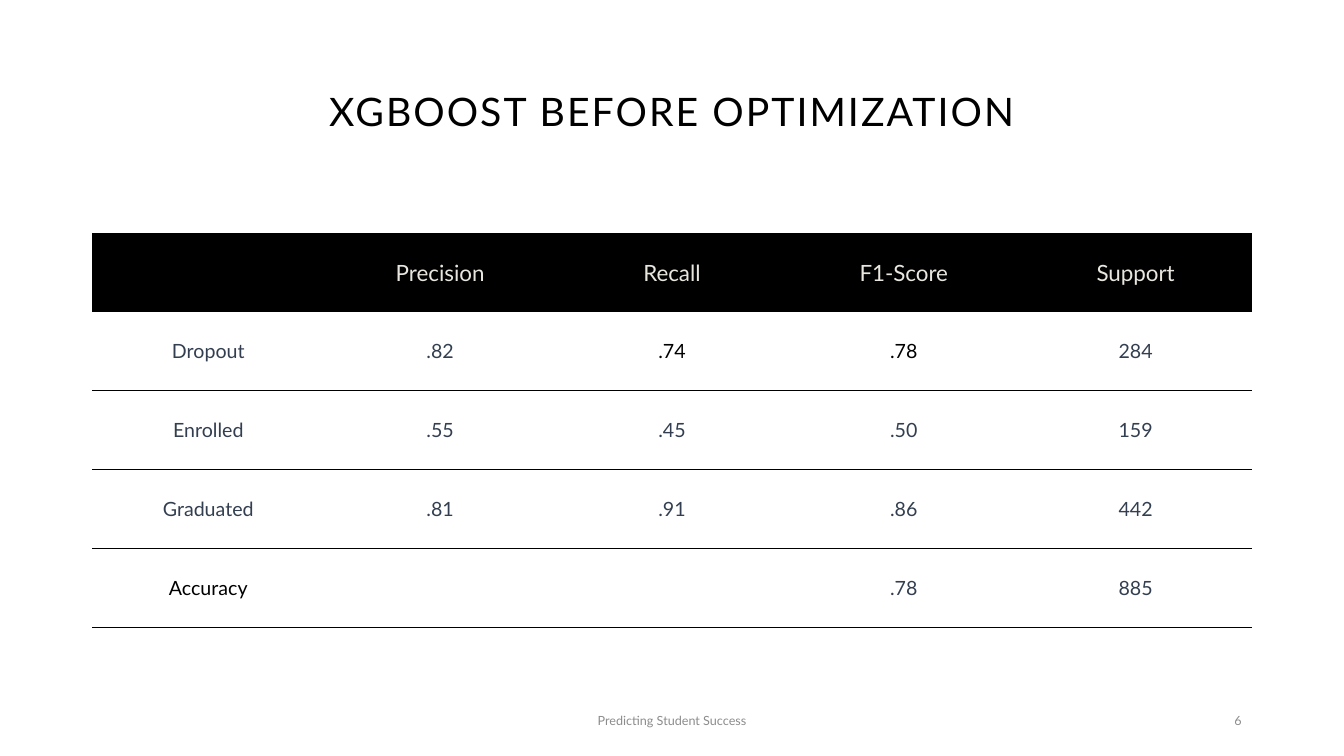
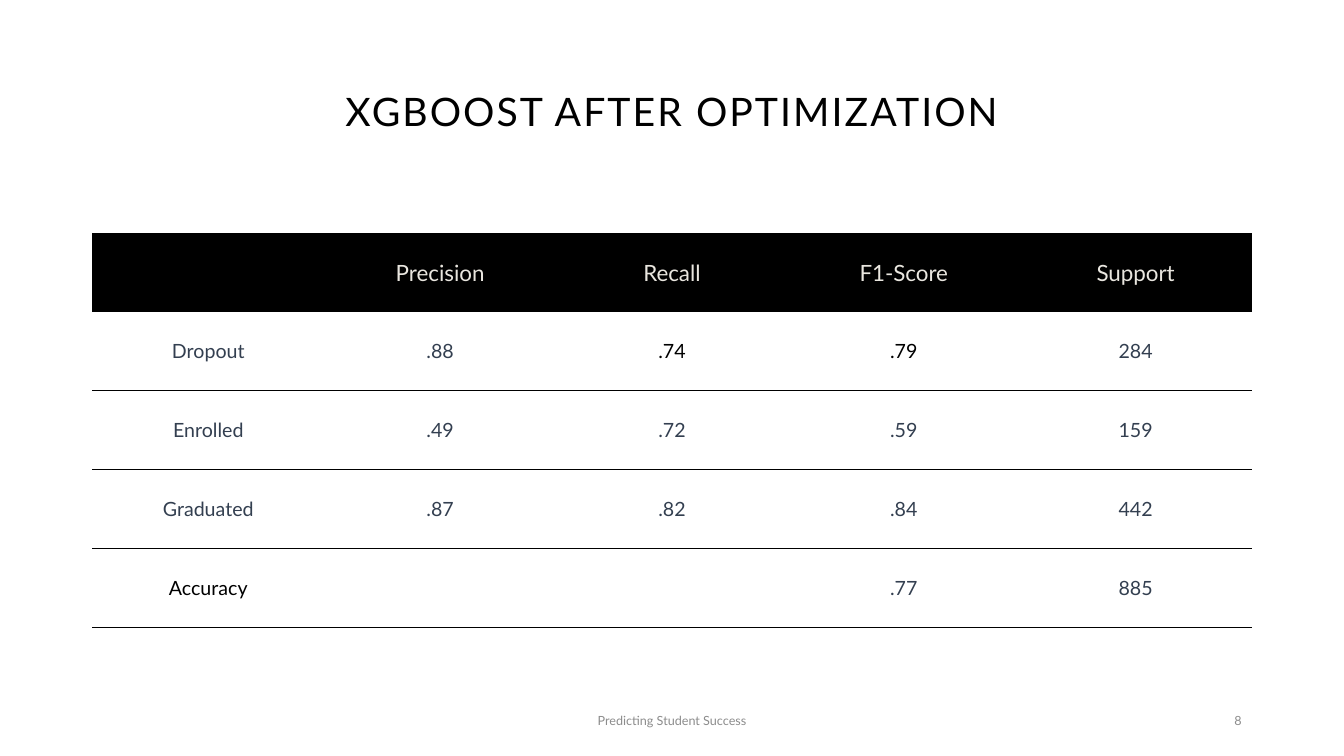
from lxml import etree
from pptx import Presentation
from pptx.dml.color import RGBColor
from pptx.enum import text as t
from pptx.oxml import ns
from pptx.util import Pt

BLACK = RGBColor(0x00, 0x00, 0x00)
CREAM = RGBColor(0xE9, 0xE6, 0xDF)
SLATE = RGBColor(0x33, 0x3F, 0x50)
GRAY = RGBColor(0x8C, 0x8C, 0x8C)

FONT = "Lato"
WIDE, HIGH = 960, 540
EDGE = 66
SPAN = WIDE - 2 * EDGE
MID, RIGHT = t.PP_ALIGN.CENTER, t.PP_ALIGN.RIGHT

TITLE = {"size": Pt(28), "color": BLACK}
HEAD = {"size": Pt(16), "color": CREAM}
BODY = {"size": Pt(14), "color": SLATE}
STRONG = {"size": Pt(14), "color": BLACK}
FOOT = {"size": Pt(9), "color": GRAY}

# Boxes: left, top, width, height in points
TITLE_BOX = (EDGE, 28.8, SPAN, 104.4)
TABLE_BOX = (EDGE, 166.4, SPAN, 281.5)
FOOT_BOX = (318, 500.4, 324, 28.8)
PAGE_BOX = (678, 500.4, 216, 28.8)

COLS = ("", "Precision", "Recall", "F1-Score", "Support")
DARK = {(1, 2), (1, 3), (4, 0)}  # body cells set in black

SLIDES = [
    ("XGBOOST BEFORE OPTIMIZATION", "6", [
        ("Dropout", ".82", ".74", ".78", "284"),
        ("Enrolled", ".55", ".45", ".50", "159"),
        ("Graduated", ".81", ".91", ".86", "442"),
        ("Accuracy", "", "", ".78", "885"),
    ]),
    ("XGBOOST AFTER OPTIMIZATION", "8", [
        ("Dropout", ".88", ".74", ".79", "284"),
        ("Enrolled", ".49", ".72", ".59", "159"),
        ("Graduated", ".87", ".82", ".84", "442"),
        ("Accuracy", "", "", ".77", "885"),
    ]),
]


def write(frame, words, style, align=MID):
    """Fill a text frame with one styled line."""
    frame.word_wrap = True
    frame.vertical_anchor = t.MSO_ANCHOR.MIDDLE
    para = frame.paragraphs[0]
    para.alignment = align
    run = para.add_run()
    run.text = words
    run.font.name = FONT
    for key, val in style.items():
        if key == "color":
            run.font.color.rgb = val
        else:
            setattr(run.font, key, val)
    return para, run


def rule(cell):
    """Draw thin lines above and below a cell and none at its sides."""
    props = cell._tc.get_or_add_tcPr()
    for pos, side in enumerate(("lnL", "lnR", "lnT", "lnB")):
        line = etree.Element(ns.qn("a:" + side), w=str(Pt(0.5)))
        if side in ("lnT", "lnB"):
            fill = etree.SubElement(line, ns.qn("a:solidFill"))
            etree.SubElement(fill, ns.qn("a:srgbClr"), val=str(BLACK))
        else:
            etree.SubElement(line, ns.qn("a:noFill"))
        props.insert(pos, line)


def add_title(slide, box, words):
    title = slide.shapes.title
    for key, val in zip(("left", "top", "width", "height"), box):
        setattr(title, key, Pt(val))
    title.text_frame.auto_size = t.MSO_AUTO_SIZE.NONE
    para, run = write(title.text_frame, words, TITLE)
    para.line_spacing = 0.9
    run.font._element.set("spc", "150")  # letter spacing


def add_scores(slide, box, rows):
    grid = [COLS, *rows]
    frame = slide.shapes.add_table(len(grid), len(COLS), *map(Pt, box))
    table = frame.table
    table.horz_banding = False
    for col in table.columns:
        col.width = Pt(box[2] / len(COLS))
    for r, row in enumerate(grid):
        table.rows[r].height = Pt(box[3] / len(grid))
        for c, words in enumerate(row):
            cell = table.cell(r, c)
            if r == 0:
                cell.fill.solid()
                cell.fill.fore_color.rgb = BLACK
                style = HEAD
            else:
                cell.fill.background()
                style = STRONG if (r, c) in DARK else BODY
            rule(cell)
            cell.vertical_anchor = t.MSO_ANCHOR.MIDDLE
            if words:
                write(cell.text_frame, words, style)


def add_foot(slide, box, words, align):
    shape = slide.shapes.add_textbox(*map(Pt, box))
    write(shape.text_frame, words, FOOT, align)


def main():
    deck = Presentation()
    deck.slide_width, deck.slide_height = Pt(WIDE), Pt(HIGH)
    for title, page, rows in SLIDES:
        slide = deck.slides.add_slide(deck.slide_layouts[5])
        add_title(slide, TITLE_BOX, title)
        add_scores(slide, TABLE_BOX, rows)
        add_foot(slide, FOOT_BOX, "Predicting Student Success", MID)
        add_foot(slide, PAGE_BOX, page, RIGHT)
    deck.save("out.pptx")


if __name__ == "__main__":
    main()
